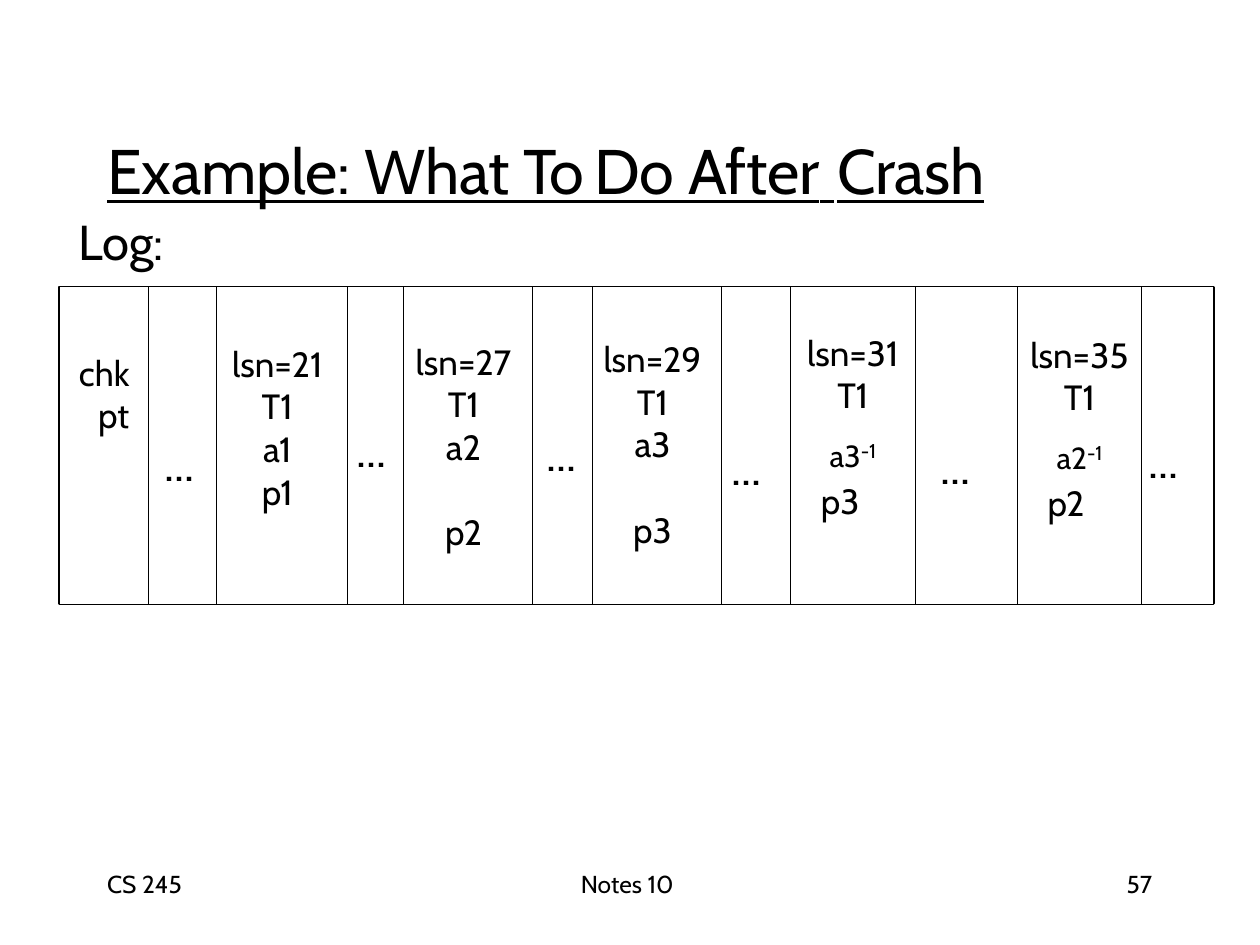
from dataclasses import dataclass

from lxml import etree
from pptx import Presentation, util as u
from pptx.dml.color import RGBColor
from pptx.enum import shapes, text
from pptx.oxml.ns import qn


@dataclass(frozen=True)
class Theme:
    font: str = "Cabin"
    ink: RGBColor = RGBColor(0, 0, 0)
    paper: RGBColor = RGBColor(255, 255, 255)
    title: float = 36
    heading: float = 28
    record: float = 20
    undo: float = 17.4
    power: float = 13
    footer: float = 14
    rule: float = 0.75


THEME = Theme()
NO_STYLE = "{2D5ABB26-0587-4C30-8999-92F81FD0307C}"

# Log entries: kind, column width and top of the text in cm, then the content
LOG = [
    ("checkpoint", 1.80, 1.31, None),
    ("gap", 1.37, 2.97, 0.33),
    ("redo", 2.64, 1.13, (21, 1, 0)),
    ("gap", 1.14, 2.69, 0.18),
    ("redo", 2.59, 1.09, (27, 2, 24.3)),
    ("gap", 1.22, 2.77, 0.28),
    ("redo", 2.59, 1.04, (29, 3, 24.3)),
    ("gap", 1.40, 3.05, 0.20),
    ("undo", 2.51, 0.91, (31, 3)),
    ("gap", 2.06, 3.02, 0.51),
    ("undo", 2.51, 0.95, (35, 2)),
    ("gap", 1.45, 2.90, 0.13),
]


def style(para, size, align=text.PP_ALIGN.LEFT, before=0, indent=0):
    """Format a paragraph; before is in points, indent in cm."""
    para.alignment = align
    para.space_before = u.Pt(before)
    properties = para._p.get_or_add_pPr()
    properties.set("marL", str(u.Cm(indent)))
    properties.set("indent", "0")
    para.font.name = THEME.font
    para.font.size = u.Pt(size)
    para.font.color.rgb = THEME.ink


def set_margins(frame, top=0):
    frame.margin_left = frame.margin_right = frame.margin_bottom = 0
    frame.margin_top = u.Cm(top)


def write_lines(frame, lines):
    """Write (wording, format) pairs, one paragraph each."""
    for number, (wording, look) in enumerate(lines):
        para = frame.paragraphs[0] if number == 0 else frame.add_paragraph()
        para.text = wording
        style(para, **{"size": THEME.record, **look})


def add_title(page, left, top, width, height):
    box = page.shapes.title
    box.left, box.top, box.width, box.height = map(u.Cm, (left, top, width, height))
    frame = box.text_frame
    set_margins(frame, 0.3)
    frame.vertical_anchor = text.MSO_ANCHOR.TOP
    frame.auto_size = text.MSO_AUTO_SIZE.NONE
    frame.word_wrap = True

    heading = frame.paragraphs[0]
    tracked = [("Example: What ", -10), ("To ", -190), ("Do After", -10),
               (" ", 190), ("Crash", -20)]
    for wording, tracking in tracked:
        span = heading.add_run()
        span.text = wording
        span.font.underline = True
        span.font._element.set("spc", str(tracking))
    style(heading, THEME.title, indent=0.61)

    label = frame.add_paragraph()
    label.text = "Log:"
    style(label, THEME.heading, before=2.4, indent=0.03)


def add_border(cell):
    """Rule the left and right sides of a cell."""
    properties = cell._tc.get_or_add_tcPr()
    for position, side in enumerate(("a:lnL", "a:lnR")):
        line = etree.Element(qn(side), w=str(u.Pt(THEME.rule)))
        fill = etree.SubElement(line, qn("a:solidFill"))
        etree.SubElement(fill, qn("a:srgbClr"), val=str(THEME.ink))
        properties.insert(position, line)


def fill_entry(cell, kind, content):
    centre = text.PP_ALIGN.CENTER
    frame = cell.text_frame
    if kind == "checkpoint":
        write_lines(frame, [("chk", {"indent": 0.4}), ("pt", {"indent": 0.79})])
    elif kind == "gap":
        write_lines(frame, [("...", {"size": THEME.heading, "indent": content})])
    elif kind == "redo":
        number, page_number, space = content
        cell.margin_right = u.Cm(0.18)
        write_lines(frame, [
            (f"lsn={number}", {"align": centre}),
            ("T1", {"align": centre}),
            (f"a{page_number}", {"align": centre}),
            (f"p{page_number}", {"align": centre, "before": space}),
        ])
    else:
        number, page_number = content
        write_lines(frame, [
            (f"lsn={number}", {"align": centre}),
            ("T1", {"align": centre}),
            (f"a{page_number}", {"align": centre, "size": THEME.undo, "before": 9.5}),
            (f"p{page_number}", {"indent": 0.61, "before": 2.5}),
        ])
        power = frame.paragraphs[2].add_run()
        power.text = "-1"
        power.font.size = u.Pt(THEME.power / 0.66)
        power.font._element.set("baseline", "25000")


def add_log(page, left, top, height):
    width = sum(entry[1] for entry in LOG)
    # Outer frame
    frame = page.shapes.add_shape(shapes.MSO_SHAPE.RECTANGLE,
                                  *map(u.Cm, (left, top, width, height)))
    frame.shadow.inherit = False
    frame.fill.background()
    frame.line.color.rgb = THEME.ink
    frame.line.width = u.Pt(2 * THEME.rule)

    # One table row, one column for each log entry
    table = page.shapes.add_table(1, len(LOG),
                                  *map(u.Cm, (left, top, width, height))).table
    table.first_row = table.horz_banding = False
    table._tbl.tblPr.find(qn("a:tableStyleId")).text = NO_STYLE
    for column, (kind, span_width, text_top, content) in enumerate(LOG):
        table.columns[column].width = u.Cm(span_width)
        cell = table.cell(0, column)
        set_margins(cell, text_top)
        cell.fill.solid()
        cell.fill.fore_color.rgb = THEME.paper
        add_border(cell)
        fill_entry(cell, kind, content)


def add_footer(page, top, height):
    for wording, left, width in (("CS 245", 2.13, 1.6), ("Notes 10", 11.68, 2.01),
                                 ("57", 22.61, 0.76)):
        box = page.shapes.add_textbox(*map(u.Cm, (left, top, width, height)))
        set_margins(box.text_frame, 0.07)
        box.text_frame.word_wrap = False
        indent = 0.1 if wording.isdigit() else 0.03
        write_lines(box.text_frame, [(wording, {"size": THEME.footer, "indent": indent})])


def main():
    deck = Presentation()
    deck.slide_width, deck.slide_height = u.Cm(25.4), u.Cm(19.05)
    page = deck.slides.add_slide(deck.slide_layouts[5])
    add_log(page, left=1.19, top=5.79, height=6.38)
    add_footer(page, top=17.45, height=0.66)
    add_title(page, left=1.55, top=2.36, width=19.46, height=2.97)
    deck.save("out.pptx")


if __name__ == "__main__":
    main()
